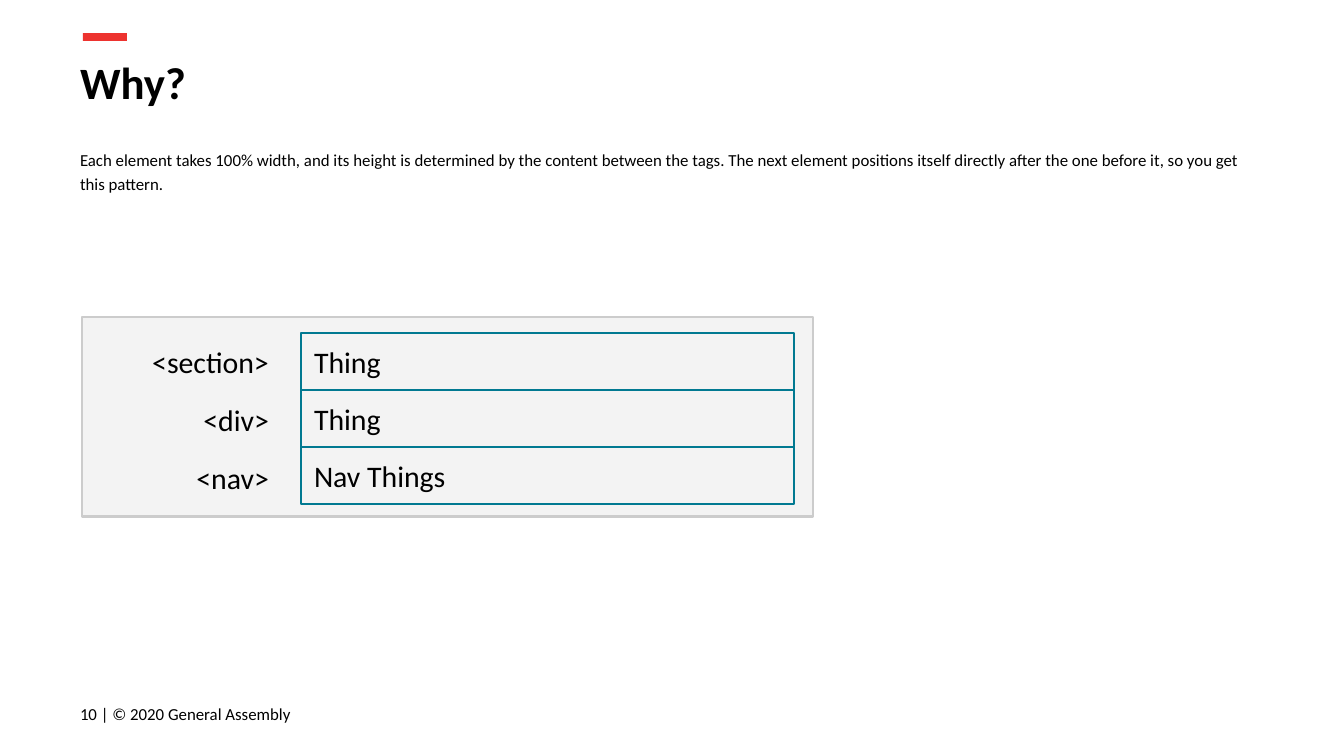
from dataclasses import dataclass, field
from typing import Any

from lxml import etree
from pptx import Presentation
from pptx.dml.color import RGBColor
from pptx.enum.shapes import MSO_SHAPE
from pptx.enum.text import MSO_ANCHOR, MSO_AUTO_SIZE, PP_ALIGN
from pptx.oxml.ns import qn
from pptx.util import Emu, Pt

RECTANGLE = MSO_SHAPE.RECTANGLE
TOP, MIDDLE = MSO_ANCHOR.TOP, MSO_ANCHOR.MIDDLE
LEFT, RIGHT = PP_ALIGN.LEFT, PP_ALIGN.RIGHT
NO_FIT = MSO_AUTO_SIZE.NONE

EMU_PER_PX = 914400 / 134.4
INSET = 13
FONT = "Calibri"
BLACK, RED, TEAL = "000000", "ED332F", "017991"
PANEL_FILL, PANEL_LINE = "F3F3F3", "CCCCCC"


@dataclass(frozen=True)
class Area:
    left: int
    top: int
    width: int
    height: int


@dataclass(frozen=True)
class Text:
    words: str
    size: int
    bold: bool = False
    anchor: Any = TOP
    paragraph: dict[str, Any] = field(default_factory=dict)


@dataclass(frozen=True)
class Element:
    tag: str
    content: str


ELEMENTS = [
    Element("<section>", "Thing"),
    Element("<div>", "Thing"),
    Element("<nav>", "Nav Things"),
]
FIRST_LABEL, LABEL_PITCH = Area(102, 331, 180, 52), 58
FIRST_BLOCK = Area(301, 333, 493, 57)


def px(length: int) -> Emu:
    return Emu(round(length * EMU_PER_PX))


def color(code: str) -> RGBColor:
    return RGBColor.from_string(code)


def set_all(target: Any, values: dict[str, Any]) -> None:
    for name, value in values.items():
        setattr(target, name, value)


def corners(area: Area) -> tuple[Emu, Emu, Emu, Emu]:
    return px(area.left), px(area.top), px(area.width), px(area.height)


def row(first: Area, index: int, pitch: int) -> Area:
    return Area(first.left, first.top + index * pitch, first.width, first.height)


def write(shape: Any, text: Text) -> Any:
    frame = shape.text_frame
    sides = ("margin_left", "margin_top", "margin_right", "margin_bottom")
    set_all(frame, dict.fromkeys(sides, px(INSET)))
    set_all(frame, {"word_wrap": True, "auto_size": NO_FIT, "vertical_anchor": text.anchor})
    para = frame.paragraphs[0]
    set_all(para, {"alignment": LEFT, "space_before": Pt(0)} | text.paragraph)
    span = para.add_run()
    span.text = text.words
    set_all(span.font, {"name": FONT, "size": Pt(text.size), "bold": text.bold})
    span.font.color.rgb = color(BLACK)
    return para


def add_rectangle(page: Any, area: Area, fill: str = "", line: str = "", width: float = 0) -> Any:
    box = page.shapes.add_shape(RECTANGLE, *corners(area))
    box.shadow.inherit = False
    if fill:
        box.fill.solid()
        box.fill.fore_color.rgb = color(fill)
    else:
        box.fill.background()
    if line:
        box.line.color.rgb = color(line)
        box.line.width = Pt(width)
    else:
        box.line.fill.background()
    return box


def add_label(page: Any, area: Area, text: Text) -> None:
    write(page.shapes.add_textbox(*corners(area)), text)


def fill_placeholder(shape: Any, area: Area, text: Text) -> Any:
    set_all(shape, dict(zip(("left", "top", "width", "height"), corners(area))))
    return write(shape, text)


def remove_bullet(para: Any) -> None:
    properties = para._p.get_or_add_pPr()
    properties.set("marL", "0")
    properties.set("indent", "0")
    etree.SubElement(properties, qn("a:buNone"))


def main() -> None:
    deck = Presentation()
    set_all(deck, {"slide_width": px(1344), "slide_height": px(756)})
    page = deck.slides.add_slide(deck.slide_layouts[1])

    fill_placeholder(page.shapes.title, Area(67, 42, 1253, 85), Text("Why?", 24, bold=True))
    body = Text(
        "Each element takes 100% width, and its height is determined by the content "
        "between the tags. The next element positions itself directly after the one "
        "before it, so you get this pattern.",
        9,
        paragraph={"line_spacing": 1.15, "space_after": Pt(10)},
    )
    remove_bullet(fill_placeholder(page.placeholders[1], Area(67, 134, 1208, 482), body))

    add_rectangle(page, Area(83, 33, 44, 8), fill=RED)
    add_rectangle(page, Area(82, 317, 731, 200), PANEL_FILL, PANEL_LINE, 1.5)
    for index, element in enumerate(ELEMENTS):
        block = add_rectangle(page, row(FIRST_BLOCK, index, FIRST_BLOCK.height), line=TEAL, width=0.75)
        write(block, Text(element.content, 16, anchor=MIDDLE))
        label = Text(element.tag, 16, paragraph={"alignment": RIGHT})
        add_label(page, row(FIRST_LABEL, index, LABEL_PITCH), label)

    footer = Text("10 | © 2020 General Assembly", 9, anchor=MIDDLE)
    add_label(page, Area(67, 685, 348, 58), footer)
    deck.save("out.pptx")


if __name__ == "__main__":
    main()
